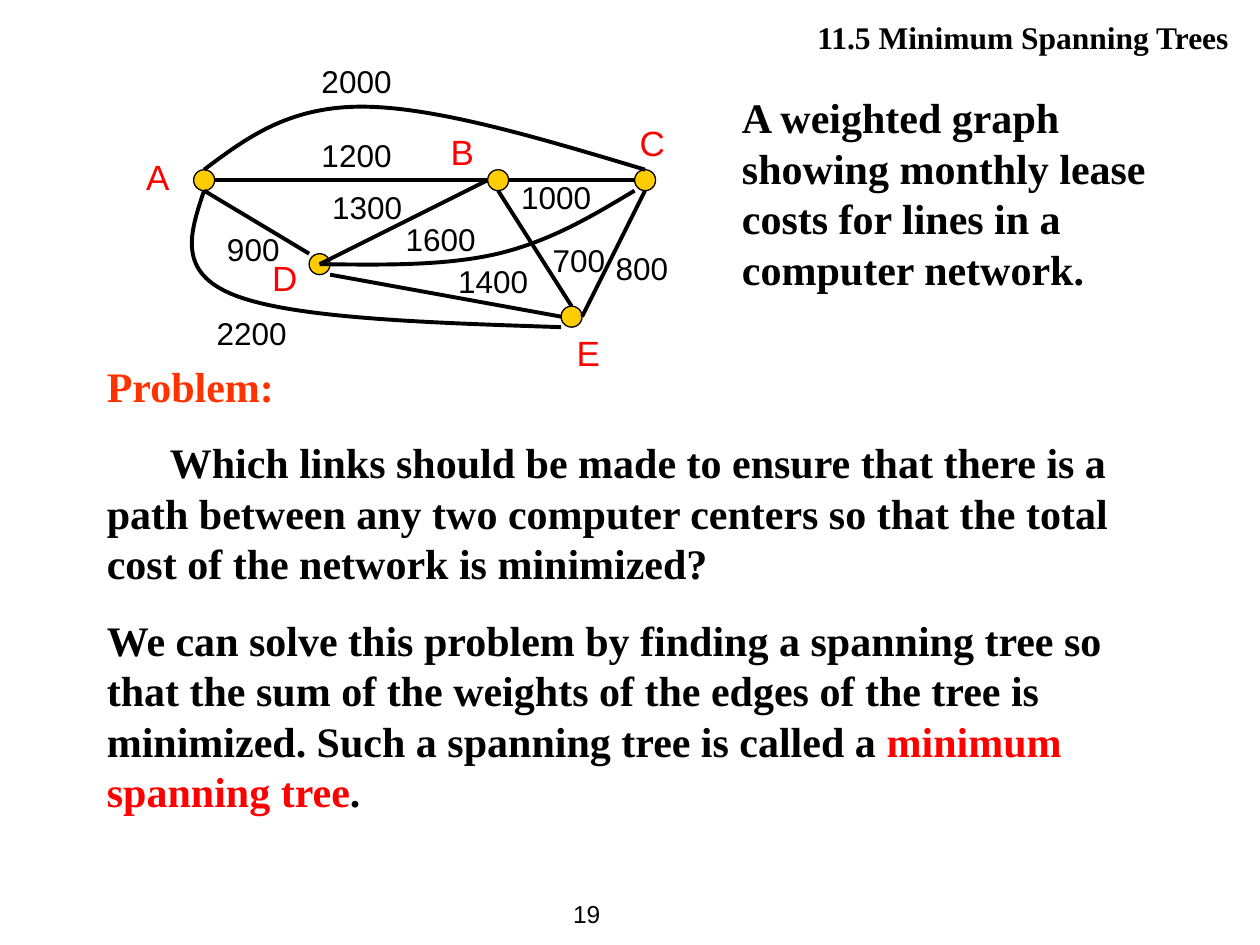
from pptx import Presentation
from pptx.dml.color import RGBColor
from pptx.enum.shapes import MSO_CONNECTOR, MSO_SHAPE
from pptx.enum.text import MSO_ANCHOR, PP_ALIGN
from pptx.oxml.ns import qn
from pptx.util import Inches, Pt
from lxml import etree

LINE, OVAL = MSO_CONNECTOR.STRAIGHT, MSO_SHAPE.OVAL
TOP, MIDDLE = MSO_ANCHOR.TOP, MSO_ANCHOR.MIDDLE
LEFT, RIGHT = PP_ALIGN.LEFT, PP_ALIGN.RIGHT
SERIF, SANS = "Times New Roman", "Arial"
COLORS = {"ink": "000000", "red": "FF0000", "orange": "FF3300", "node": "FFCC00"}
GRID = Inches(0.1)       # slide grid: 100 columns by 75 rows
STEP = Inches(1) / 12    # graph grid, counted from node A

# Graph data in graph grid steps
NODES = {"A": (0, 0), "B": (28, 0), "C": (42, 0), "D": (11, 8), "E": (35, 13)}
NAMES = {"A": (-6.7, -2.9), "B": (22.3, -5.3), "C": (40.3, -6.2),
         "D": (5.3, 6.7), "E": (34.3, 13.8)}
EDGES = [((1, 0), (27, 0)), ((29, 0), (41, 0)), ((0, 1), (10, 7)),
         ((12, 9), (34, 13)), ((36, 13), (42, 1)), ((28, 1), (35, 12)),
         ((11, 8), (27, 0))]
CURVES = [
    [(0, -1), (4, -4), (8, -7), (15, -7), (22, -7), (32, -4), (42, -1)],
    [(0, 1), (-1.33, 5), (-2.67, 8.83), (3, 11), (8.67, 13.17), (21.33, 13.58), (34, 14)],
    [(11, 8), (17, 8.08), (23, 8.17), (28, 7), (33, 5.8), (37, 3.4), (41, 1)],
]
COSTS = [("2000", 10, -11.8), ("1200", 10, -4.8), ("1000", 29, -0.8), ("900", 1, 4.2),
         ("1300", 11, 0.2), ("1600", 18, 3.2), ("1400", 23, 7.2), ("700", 32, 5.2),
         ("800", 38, 6), ("2200", 0, 12.2)]


def rgb(name):
    return RGBColor.from_string(COLORS[name])


def add_text(shapes, box, paragraphs, size, font=SERIF, bold=True, align=LEFT, anchor=TOP):
    """Each paragraph is a list of (text, colour) runs; box is in EMU."""
    tf = shapes.add_textbox(*(round(v) for v in box)).text_frame
    tf.word_wrap = True
    tf.vertical_anchor = anchor
    for i, runs in enumerate(paragraphs):
        p = tf.add_paragraph() if i else tf.paragraphs[0]
        p.alignment = align
        if i:
            p.space_before = Pt(15)
        for text, color in runs:
            r = p.add_run()
            r.text = text
            r.font.size, r.font.name, r.font.bold = Pt(size), font, bold
            r.font.color.rgb = rgb(color)
    return tf


def cells(*box):
    return [v * GRID for v in box]


def style_line(sp):
    sp.line.color.rgb = rgb("ink")
    sp.line.width = Pt(2.25)


def add_curve(shapes, points):
    """Cubic curve: a start point, then three points for each arc."""
    fb = shapes.build_freeform(*points[0])
    fb.add_line_segments(points[1:], close=False)
    sp = fb.convert_to_shape()
    sp.shadow.inherit = False
    sp.fill.background()
    style_line(sp)
    # Gather every three line points into one cubic arc
    segments = list(sp._element.iter(qn("a:lnTo")))
    outline = segments[0].getparent()
    for i in range(0, len(segments), 3):
        arc = etree.SubElement(outline, qn("a:cubicBezTo"))
        for seg in segments[i:i + 3]:
            arc.append(seg[0])
            outline.remove(seg)


def add_graph(s, left, top):
    """Weighted graph with node A centred at left, top."""
    shapes = s.shapes.add_group_shape().shapes

    def at(x, y):
        return round(left + x * STEP), round(top + y * STEP)

    # Nodes
    for x, y in NODES.values():
        sp = shapes.add_shape(OVAL, *at(x - 1, y - 1), round(2 * STEP), round(2 * STEP))
        sp.shadow.inherit = False
        sp.fill.solid()
        sp.fill.fore_color.rgb = rgb("node")
        sp.line.color.rgb = rgb("ink")
        sp.line.width = Pt(0.75)
    # Straight and curved edges
    for start, end in EDGES:
        line = shapes.add_connector(LINE, *at(*start), *at(*end))
        style_line(line)
        etree.SubElement(line._element.spPr, qn("a:effectLst"))
    for points in CURVES:
        add_curve(shapes, [at(*pt) for pt in points])
    # Costs and node names
    for cost, x, y in COSTS:
        add_text(shapes, (*at(x, y), 10 * STEP, 4.8 * STEP), [[(cost, "ink")]], 18, SANS, False)
    for name, (x, y) in NAMES.items():
        add_text(shapes, (*at(x, y), 6 * STEP, 5.3 * STEP), [[(name, "red")]], 20, SANS, False)


def add_problem(s, box):
    tf = add_text(s.shapes, box, [
        [("Problem:", "orange")],
        [("Which links should be made to ensure that there is a path between any two "
          "computer centers so that the total cost of the network is minimized?", "ink")],
        [("We can solve this problem by finding a spanning tree so that the sum of the "
          "weights of the edges of the tree is minimized. Such a spanning tree is called a ",
          "ink"), ("minimum spanning tree", "red"), (".", "ink")],
    ], 24)
    tf.paragraphs[1]._p.get_or_add_pPr().set("indent", str(Inches(0.5)))


def main():
    prs = Presentation()
    prs.slide_width, prs.slide_height = 100 * GRID, 75 * GRID
    s = prs.slides.add_slide(prs.slide_layouts[6])
    # Page number
    add_text(s.shapes, cells(44.5, 70, 6.7, 5), [[("19", "ink")]], 14, SANS, False,
             anchor=MIDDLE)
    # Caption beside the graph
    add_text(s.shapes, cells(57.9, 6.8, 34.2, 17),
             [[("A weighted graph showing monthly lease costs for lines in a "
                "computer network.", "ink")]], 24)
    add_problem(s, cells(7.5, 28.1, 86.6, 37.2))
    add_graph(s, *cells(16.2, 14.3))
    # Section heading
    add_text(s.shapes, cells(39.8, 0.4, 58.7, 5), [[("11.5 Minimum Spanning Trees", "ink")]],
             18, align=RIGHT, anchor=MIDDLE)
    prs.save("out.pptx")


if __name__ == "__main__":
    main()
